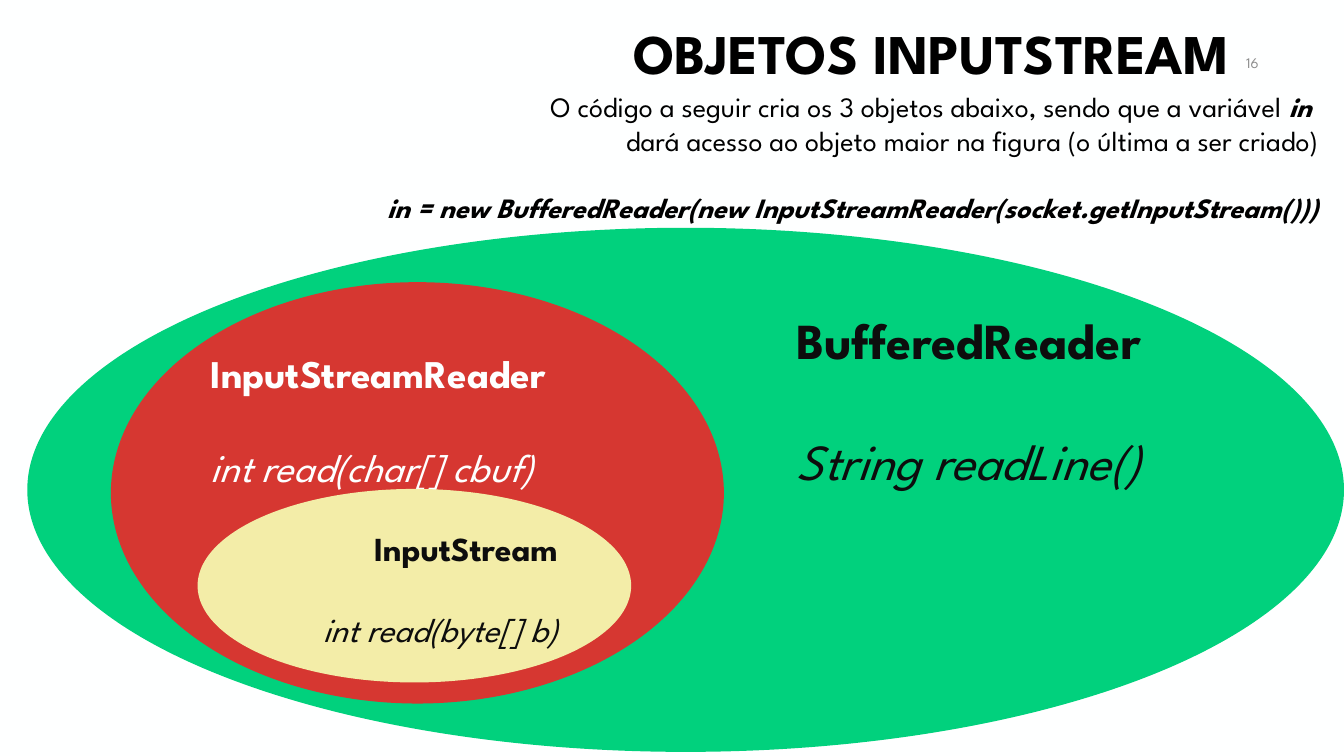
from dataclasses import dataclass

from pptx import Presentation
from pptx.dml.color import RGBColor
from pptx.enum.shapes import MSO_SHAPE
from pptx.enum.text import MSO_ANCHOR, PP_ALIGN
from pptx.util import Inches, Pt

FONT = "League Spartan"
LEAD = 1.2  # line height as a share of the font size
PAPER = RGBColor(0xFE, 0xFF, 0xFF)
BLACK = RGBColor(0x00, 0x00, 0x00)
INK = RGBColor(0x0D, 0x0D, 0x0D)
GRAY = RGBColor(0x8C, 0x8C, 0x8C)
GREEN = RGBColor(0x01, 0xD1, 0x7D)
RED = RGBColor(0xD6, 0x37, 0x31)
CREAM = RGBColor(0xF3, 0xED, 0xA8)


@dataclass
class Box:
    """Left, top, width and height in percent of the slide."""
    left: float
    top: float
    width: float
    height: float

    def place(self) -> tuple[int, int, int, int]:
        return (int(deck.slide_width * self.left / 100),
                int(deck.slide_height * self.top / 100),
                int(deck.slide_width * self.width / 100),
                int(deck.slide_height * self.height / 100))


@dataclass
class Style:
    size: float
    color: RGBColor
    align: PP_ALIGN = PP_ALIGN.RIGHT
    bold: bool = False
    italic: bool = False


@dataclass
class Layer:
    """An object of the stream chain, with its name and method."""
    box: Box
    fill: RGBColor
    name: str
    method: str
    size: float
    color: RGBColor
    align: PP_ALIGN = PP_ALIGN.RIGHT
    anchor: MSO_ANCHOR = MSO_ANCHOR.TOP


def format_line(line, style: Style) -> None:
    line.alignment = style.align
    font = line.font
    font.name, font.size = FONT, Pt(style.size)
    font.bold, font.italic = style.bold, style.italic
    font.color.rgb = style.color


def add_layer(layer: Layer) -> None:
    oval = slide.shapes.add_shape(MSO_SHAPE.OVAL, *layer.box.place())
    oval.shadow.inherit = False
    oval.fill.solid()
    oval.fill.fore_color.rgb = layer.fill
    oval.line.fill.background()
    frame = oval.text_frame
    frame.vertical_anchor = layer.anchor
    name, method = frame.paragraphs[0], frame.add_paragraph()
    name.text, method.text = layer.name, layer.method
    format_line(name, Style(layer.size, layer.color, layer.align, bold=True))
    format_line(method, Style(layer.size, layer.color, layer.align, italic=True))
    method.space_before = Pt(layer.size * LEAD)


def add_label(box: Box, text: str, style: Style,
              anchor: MSO_ANCHOR = MSO_ANCHOR.MIDDLE):
    frame = slide.shapes.add_textbox(*box.place()).text_frame
    frame.word_wrap = True
    frame.vertical_anchor = anchor
    line = frame.paragraphs[0]
    line.add_run().text = text
    format_line(line, style)
    return frame


deck = Presentation()
deck.slide_width, deck.slide_height = Inches(13.33), Inches(7.5)
slide = deck.slides.add_slide(deck.slide_layouts[6])
slide.background.fill.solid()
slide.background.fill.fore_color.rgb = PAPER

# Nested objects, from the outermost to the innermost
LAYERS = [
    Layer(Box(2.03, 30.13, 97.97, 69.33), GREEN,
          "BufferedReader", "String readLine()", 36, INK),
    Layer(Box(8.25, 37.33, 45.61, 55.73), RED,
          "InputStreamReader", "int read(char[] cbuf)", 28, PAPER,
          align=PP_ALIGN.LEFT),
    Layer(Box(14.7, 64.67, 32.26, 25.6), CREAM,
          "InputStream", "int read(byte[] b)", 24, INK,
          anchor=MSO_ANCHOR.BOTTOM),
]
for layer in LAYERS:
    add_layer(layer)

# Title and slide number
title = add_label(Box(45.39, 0.8, 47.79, 13.33), "OBJETOS INPUTSTREAM",
                  Style(40, BLACK, PP_ALIGN.CENTER, bold=True))
title.paragraphs[0].line_spacing = 0.9
add_label(Box(71.87, 5.6, 22.51, 5.33), "16", Style(10.5, GRAY))

# Explanation and line of code
intro = add_label(
    Box(19.13, 11.2, 79.75, 23.73),
    "O código a seguir cria os 3 objetos abaixo, sendo que a variável ",
    Style(20, BLACK), MSO_ANCHOR.TOP)
first = intro.paragraphs[0]
word = first.add_run()
word.text = "in "
word.font.bold = word.font.italic = True
first.add_line_break()
first.add_run().text = (
    "dará acesso ao objeto maior na figura (o última a ser criado)")
code = intro.add_paragraph()
code.text = ("in = new BufferedReader(new InputStreamReader("
             "socket.getInputStream()))")
format_line(code, Style(20, BLACK, bold=True, italic=True))
code.space_before = Pt(20 * LEAD)

deck.save("out.pptx")
